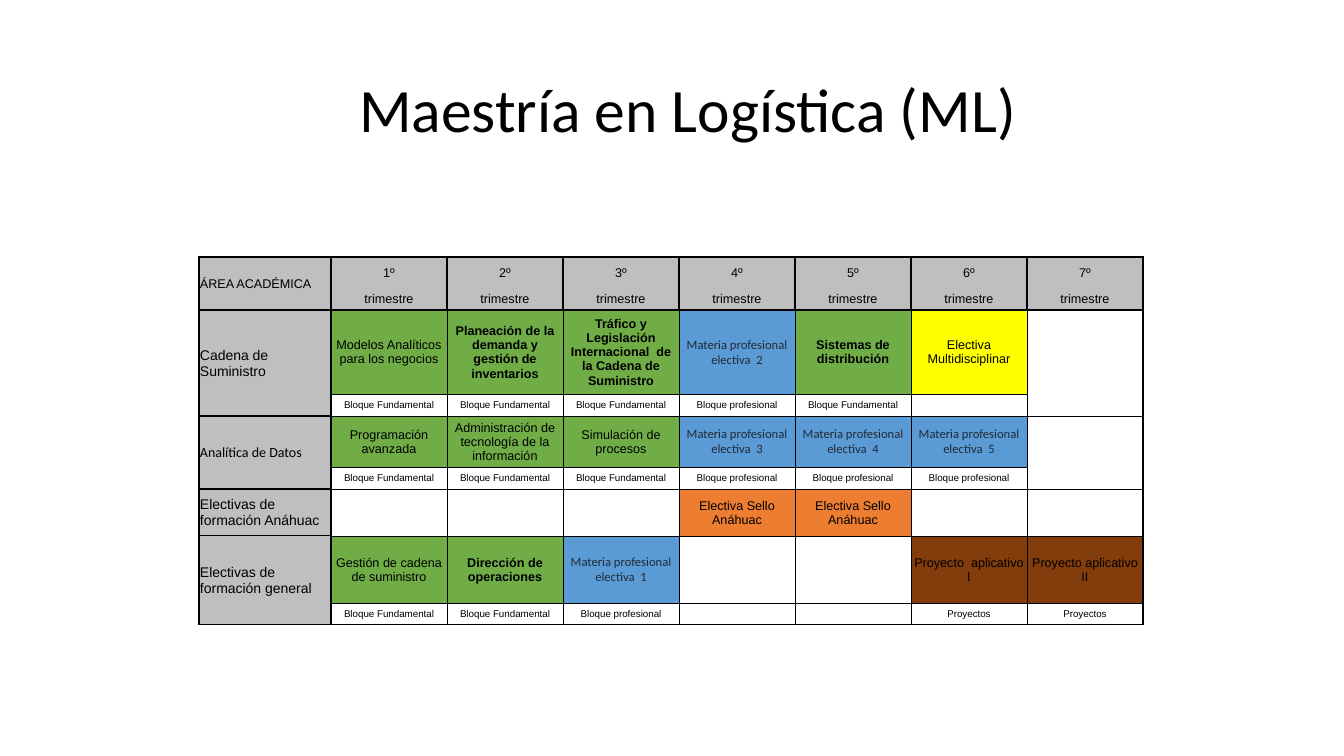
from dataclasses import dataclass

import pptx
import pptx.dml.color
import pptx.enum.text
import pptx.oxml.ns
import pptx.util
from lxml import etree

EMU_PER_PX = 914400 / 100.8
ROW_HEIGHTS = [22, 31, 22, 84, 22, 51, 22, 25, 22, 67, 22, 21]
COLUMN_WIDTHS = [24, 132] + [116] * 7 + [24]
LAST_ROW = len(ROW_HEIGHTS) - 1
LAST_COLUMN = len(COLUMN_WIDTHS) - 1
FIRST_AREA_ROW = 3
LEFT = pptx.enum.text.PP_ALIGN.LEFT
CENTER = pptx.enum.text.PP_ALIGN.CENTER
MIDDLE = pptx.enum.text.MSO_ANCHOR.MIDDLE


@dataclass(frozen=True)
class Theme:
    text: str = "000000"
    elective_text: str = "222A35"
    white: str = "FFFFFF"
    heading: str = "BFBFBF"
    green: str = "70AD47"
    blue: str = "5B9BD5"
    yellow: str = "FFFF00"
    orange: str = "ED7D31"
    brown: str = "833C0C"
    sans: str = "Arial"
    humanist: str = "Calibri"
    title_size: int = 44
    area_size: int = 10
    subject_size: int = 9
    block_size: int = 7
    thick: float = 1
    thin: float = 0.5


THEME = Theme()


@dataclass(frozen=True)
class Kind:
    fill: str
    block: str = ""
    font: str = THEME.sans
    color: str = THEME.text


FUNDAMENTAL = Kind(THEME.green, "Bloque Fundamental")
PROFESSIONAL = Kind(THEME.blue, "Bloque profesional", THEME.humanist, THEME.elective_text)
MULTIDISCIPLINARY = Kind(THEME.yellow)
SELLO = Kind(THEME.orange)
PROJECT = Kind(THEME.brown, "Proyectos")


@dataclass(frozen=True)
class Subject:
    name: str
    kind: Kind = FUNDAMENTAL
    bold: bool = False


@dataclass(frozen=True)
class Area:
    name: str
    subjects: list
    font: str = THEME.sans
    has_blocks: bool = True


def professional(number):
    return Subject(f"Materia profesional electiva  {number}", PROFESSIONAL)


SELLO_SUBJECT = Subject("Electiva Sello Anáhuac", SELLO)
AREAS = [
    Area("Cadena de Suministro", [
        Subject("Modelos Analíticos para los negocios"),
        Subject("Planeación de la demanda y gestión de inventarios", bold=True),
        Subject("Tráfico y Legislación Internacional  de la Cadena de Suministro", bold=True),
        professional(2),
        Subject("Sistemas de distribución", bold=True),
        Subject("Electiva Multidisciplinar", MULTIDISCIPLINARY),
        None,
    ]),
    Area("Analítica de Datos", [
        Subject("Programación avanzada"),
        Subject("Administración de tecnología de la información"),
        Subject("Simulación de procesos"),
        professional(3), professional(4), professional(5), None,
    ], font=THEME.humanist),
    Area("Electivas de formación Anáhuac",
         [None, None, None, SELLO_SUBJECT, SELLO_SUBJECT, None, None], has_blocks=False),
    Area("Electivas de formación general", [
        Subject("Gestión de cadena de suministro"),
        Subject("Dirección de operaciones", bold=True),
        professional(1), None, None,
        Subject("Proyecto  aplicativo I", PROJECT),
        Subject("Proyecto aplicativo II", PROJECT),
    ]),
]


def px(value):
    return pptx.util.Emu(round(value * EMU_PER_PX))


def rgb(color):
    return pptx.dml.color.RGBColor.from_string(color)


def format_paragraph(paragraph, size, font=THEME.sans, color=THEME.text,
                     bold=False, align=CENTER):
    paragraph.alignment = align
    for run in paragraph.runs:
        run.font.size = pptx.util.Pt(size)
        run.font.name = font
        run.font.bold = bold
        run.font.color.rgb = rgb(color)


def vertical_edge(row, edge):
    """Line width at the left of column number edge; 0 means no line."""
    if not 1 <= row < LAST_ROW or edge in (0, LAST_COLUMN + 1):
        return 0
    in_header = row < FIRST_AREA_ROW
    return THEME.thick if in_header or edge in (1, 2, LAST_COLUMN) else THEME.thin


def horizontal_edge(edge, column):
    """Line width above row number edge; 0 means no line."""
    if not 1 <= column < LAST_COLUMN or edge in (0, LAST_ROW + 1):
        return 0
    if column == 1 or edge in (1, FIRST_AREA_ROW, LAST_ROW):
        return THEME.thick
    return 0 if edge < FIRST_AREA_ROW else THEME.thin


def add_border(cell, side, width):
    properties = cell._tc.get_or_add_tcPr()
    line = etree.SubElement(properties, pptx.oxml.ns.qn(f"a:ln{side}"))
    if not width:
        etree.SubElement(line, pptx.oxml.ns.qn("a:noFill"))
        return
    line.set("w", str(pptx.util.Pt(width)))
    fill = etree.SubElement(line, pptx.oxml.ns.qn("a:solidFill"))
    etree.SubElement(fill, pptx.oxml.ns.qn("a:srgbClr"), val=THEME.text)


def fill_cell(cell, color):
    cell.fill.solid()
    cell.fill.fore_color.rgb = rgb(color)


def prepare_cell(cell, row, column):
    """Set borders and margins, and keep an empty cell from stretching its row."""
    add_border(cell, "L", vertical_edge(row, column))
    add_border(cell, "R", vertical_edge(row, column + 1))
    add_border(cell, "T", horizontal_edge(row, column))
    add_border(cell, "B", horizontal_edge(row + 1, column))
    fill_cell(cell, THEME.white)
    cell.margin_left = cell.margin_right = cell.margin_top = px(1)
    cell.margin_bottom = 0
    cell.vertical_anchor = MIDDLE
    etree.SubElement(cell.text_frame.paragraphs[0]._p, pptx.oxml.ns.qn("a:endParaRPr"),
                     sz=str(THEME.block_size * 100))


def write_cell(cell, text, size, fill=THEME.white, **style):
    fill_cell(cell, fill)
    paragraph = cell.text_frame.paragraphs[0]
    paragraph.text = text
    format_paragraph(paragraph, size, **style)


def write_header(table):
    table.cell(1, 1).merge(table.cell(2, 1))
    write_cell(table.cell(1, 1), "ÁREA ACADÉMICA", THEME.subject_size, THEME.heading, align=LEFT)
    for term in range(1, 8):
        for row, text in enumerate([f"{term}º", "trimestre"], 1):
            write_cell(table.cell(row, term + 1), text, THEME.subject_size, THEME.heading)


def write_area(table, row, area):
    table.cell(row, 1).merge(table.cell(row + 1, 1))
    write_cell(table.cell(row, 1), area.name, THEME.area_size, THEME.heading,
               font=area.font, align=LEFT)
    for column, subject in enumerate(area.subjects, 2):
        cell, block_cell = table.cell(row, column), table.cell(row + 1, column)
        if not area.has_blocks or (subject is None and column == LAST_COLUMN - 1):
            cell.merge(block_cell)
        if subject is None:
            continue
        kind = subject.kind
        write_cell(cell, subject.name, THEME.subject_size, kind.fill,
                   font=kind.font, color=kind.color, bold=subject.bold)
        if kind.block:
            write_cell(block_cell, kind.block, THEME.block_size)


def add_curriculum(slide):
    table = slide.shapes.add_table(
        len(ROW_HEIGHTS), len(COLUMN_WIDTHS), px(175), px(235),
        px(sum(COLUMN_WIDTHS)), px(sum(ROW_HEIGHTS))).table
    table.first_row = table.horz_banding = False
    for column, width in zip(table.columns, COLUMN_WIDTHS):
        column.width = px(width)
    for row_number, height in enumerate(ROW_HEIGHTS):
        table.rows[row_number].height = px(height)
        for column_number in range(len(COLUMN_WIDTHS)):
            prepare_cell(table.cell(row_number, column_number), row_number, column_number)
    write_header(table)
    for index, area in enumerate(AREAS):
        write_area(table, FIRST_AREA_ROW + 2 * index, area)


def set_title(slide, text):
    title = slide.shapes.title
    title.left, title.top, title.width, title.height = px(349), px(40), px(903), px(146)
    title.text_frame.text = text
    title.text_frame.vertical_anchor = MIDDLE
    paragraph = title.text_frame.paragraphs[0]
    paragraph.line_spacing = 0.9
    format_paragraph(paragraph, THEME.title_size, THEME.humanist, align=LEFT)


def main():
    presentation = pptx.Presentation()
    presentation.slide_width, presentation.slide_height = px(1344), px(756)
    slide = presentation.slides.add_slide(presentation.slide_layouts[5])
    set_title(slide, "Maestría en Logística (ML)")
    add_curriculum(slide)
    presentation.save("out.pptx")


if __name__ == "__main__":
    main()
